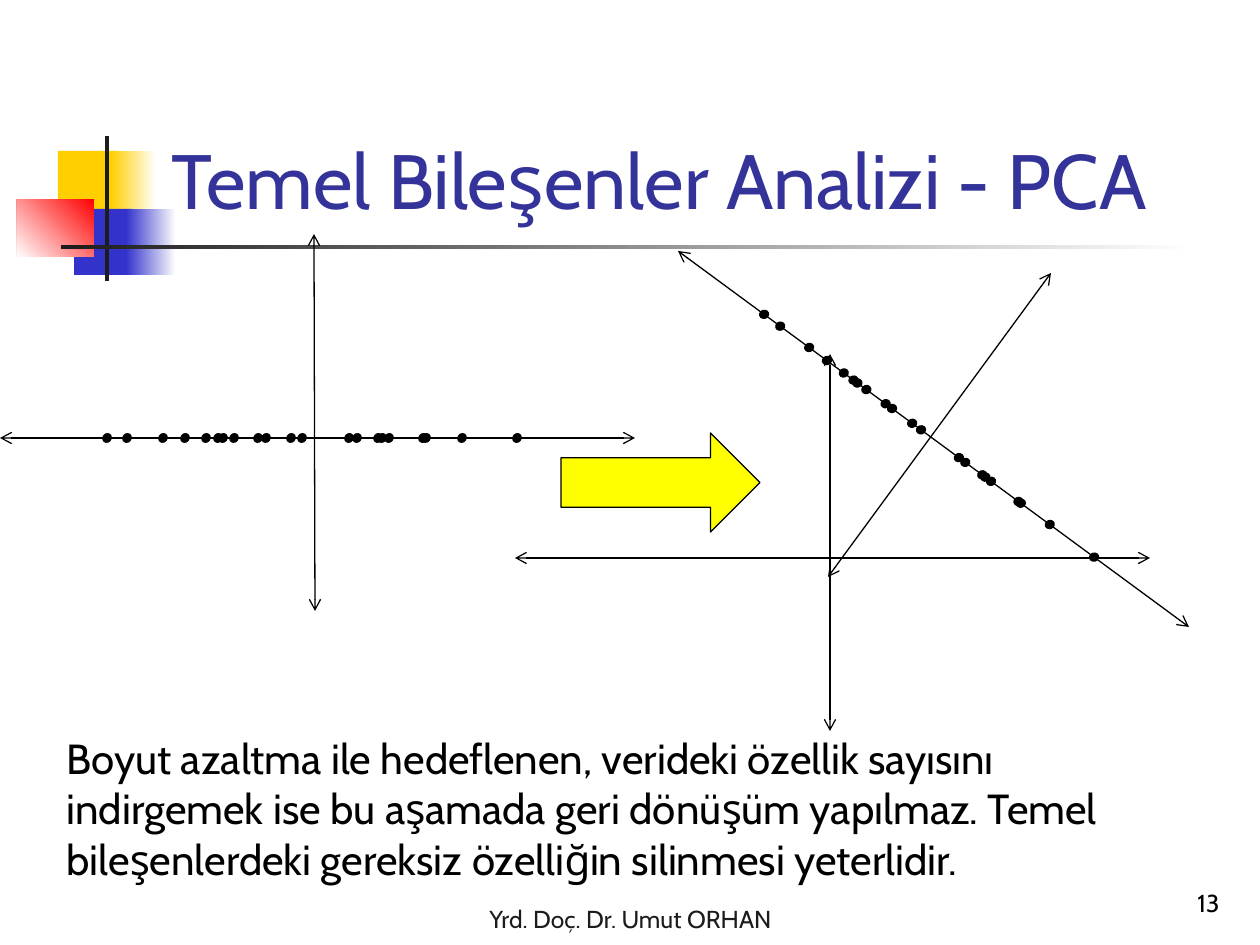
from dataclasses import dataclass

from lxml import etree
from pptx import Presentation
from pptx.dml.color import RGBColor
from pptx.enum.shapes import MSO_CONNECTOR as Connector, MSO_SHAPE as Shape
from pptx.enum.text import MSO_ANCHOR as Anchor, MSO_AUTO_SIZE as AutoSize, PP_ALIGN as Align
from pptx.oxml.ns import qn
from pptx.util import Pt


@dataclass(frozen=True)
class Theme:
    font: str = "Cabin"
    title_size: int = 44
    body_size: int = 24
    small_size: int = 14
    line_width: float = 0.75
    title: str = "333399"
    black: str = "000000"
    dark: str = "1C1C1C"
    white: str = "FFFFFF"
    gold: str = "FFCF01"
    blue: str = "3333CC"
    red: str = "FF0000"
    yellow: str = "FFFF00"


theme = Theme()
PX = 914400 / 126


def px(*lengths):
    return [round(length * PX) for length in lengths]


def write(box, text, size, color, align=Align.LEFT):
    frame = box.text_frame
    frame.text = text
    frame.word_wrap = True
    frame.auto_size = AutoSize.NONE
    frame.vertical_anchor = Anchor.BOTTOM
    para = frame.paragraphs[0]
    para.alignment = align
    font = para.runs[0].font
    font.name, font.size = theme.font, Pt(size)
    font.color.rgb = RGBColor.from_string(color)


deck = Presentation()
deck.slide_width, deck.slide_height = px(1260, 945)
page = deck.slides.add_slide(deck.slide_layouts[5])
black = RGBColor.from_string(theme.black)

# Corner ornament and title rule: position, first colour, last colour, angle
ornament = [
    ((58, 151, 60, 66), theme.gold, None, 0),
    ((111, 151, 45, 66), theme.white, theme.gold, 180),
    ((74, 209, 58, 66), theme.blue, None, 0),
    ((126, 209, 50, 66), theme.white, theme.blue, 180),
    ((17, 199, 77, 58), theme.red, theme.white, 225),
    ((105, 136, 4, 145), theme.dark, None, 0),
    ((61, 245, 1134, 4), theme.white, theme.dark, 180),
]
for place, first, last, angle in ornament:
    block = page.shapes.add_shape(Shape.RECTANGLE, *px(*place))
    block.shadow.inherit = False
    block.line.fill.background()
    if last is None:
        block.fill.solid()
        block.fill.fore_color.rgb = RGBColor.from_string(first)
    else:
        block.fill.gradient()
        block.fill.gradient_angle = angle
        for stop, color in zip(block.fill.gradient_stops, (first, last)):
            stop.color.rgb = RGBColor.from_string(color)

# Title
title = page.shapes.title
title.left, title.top, title.width, title.height = px(159, 29, 1074, 202)
write(title, "Temel Bileşenler Analizi - PCA", theme.title_size, theme.title)

# Arrow between the two plots
arrow = page.shapes.add_shape(Shape.RIGHT_ARROW, *px(561, 433, 199, 99))
arrow.shadow.inherit = False
arrow.fill.solid()
arrow.fill.fore_color.rgb = RGBColor.from_string(theme.yellow)
arrow.line.color.rgb = black
arrow.line.width = Pt(theme.line_width)

# Axes: the component plot, the original axes, the plot turned back
component_plot = page.shapes.add_group_shape().shapes
component_axis = (0, 438, 635, 438)
turned_axis = (678, 251, 1189, 627)
original_axes = [(830, 354, 830, 731), (515, 558, 1150, 558)]
axes = [(component_plot, line) for line in [(314, 234, 315, 611), component_axis]]
axes += [(page.shapes, line) for line in original_axes]
turned_plot = page.shapes.add_group_shape().shapes
axes += [(turned_plot, line) for line in [(1051, 273, 828, 577), turned_axis]]
for shapes, ends in axes:
    axis = shapes.add_connector(Connector.STRAIGHT, *px(*ends))
    axis.line.color.rgb = black
    axis.line.width = Pt(theme.line_width)
    line_xml = axis.line._get_or_add_ln()
    for end in ("a:headEnd", "a:tailEnd"):
        etree.SubElement(line_xml, qn(end), type="arrow")
    etree.SubElement(axis._element.spPr, qn("a:effectLst"))

# Data points: the same distances along the first component in both plots
distances = [218, 266, 185, 107, 302, 378, 127, 462, 426, 349, 517,
             163, 357, 389, 234, 291, 382, 206, 258, 223, 423]
DOT_WIDTH, DOT_HEIGHT = 8, 9
for shapes, ends, turn in [(component_plot, component_axis, 37.2),
                           (turned_plot, turned_axis, 73.5)]:
    x1, y1, x2, y2 = ends
    for distance in distances:
        share = distance / component_axis[2]
        left = x1 + share * (x2 - x1) - DOT_WIDTH / 2
        top = y1 + share * (y2 - y1) - DOT_HEIGHT / 2
        dot = shapes.add_shape(Shape.OVAL, *px(left, top, DOT_WIDTH, DOT_HEIGHT))
        dot.rotation = turn
        dot.shadow.inherit = False
        dot.fill.solid()
        dot.fill.fore_color.rgb = black
        dot.line.color.rgb = black
        dot.line.width = Pt(theme.line_width)

# Body text, footer and page number
body = ("Boyut azaltma ile hedeflenen, verideki özellik sayısını indirgemek ise "
        "bu aşamada geri dönüşüm yapılmaz. Temel bileşenlerdeki gereksiz "
        "özelliğin silinmesi yeterlidir.")
texts = [
    ((54, 727, 1152, 163), body, theme.body_size, theme.black, Align.LEFT),
    ((25, 897, 1211, 43), "Yrd. Doç. Dr. Umut ORHAN", theme.small_size, theme.dark, Align.CENTER),
    ((970, 861, 262, 63), "13", theme.small_size, theme.black, Align.RIGHT),
]
for place, text, size, color, align in texts:
    write(page.shapes.add_textbox(*px(*place)), text, size, color, align)

deck.save("out.pptx")
